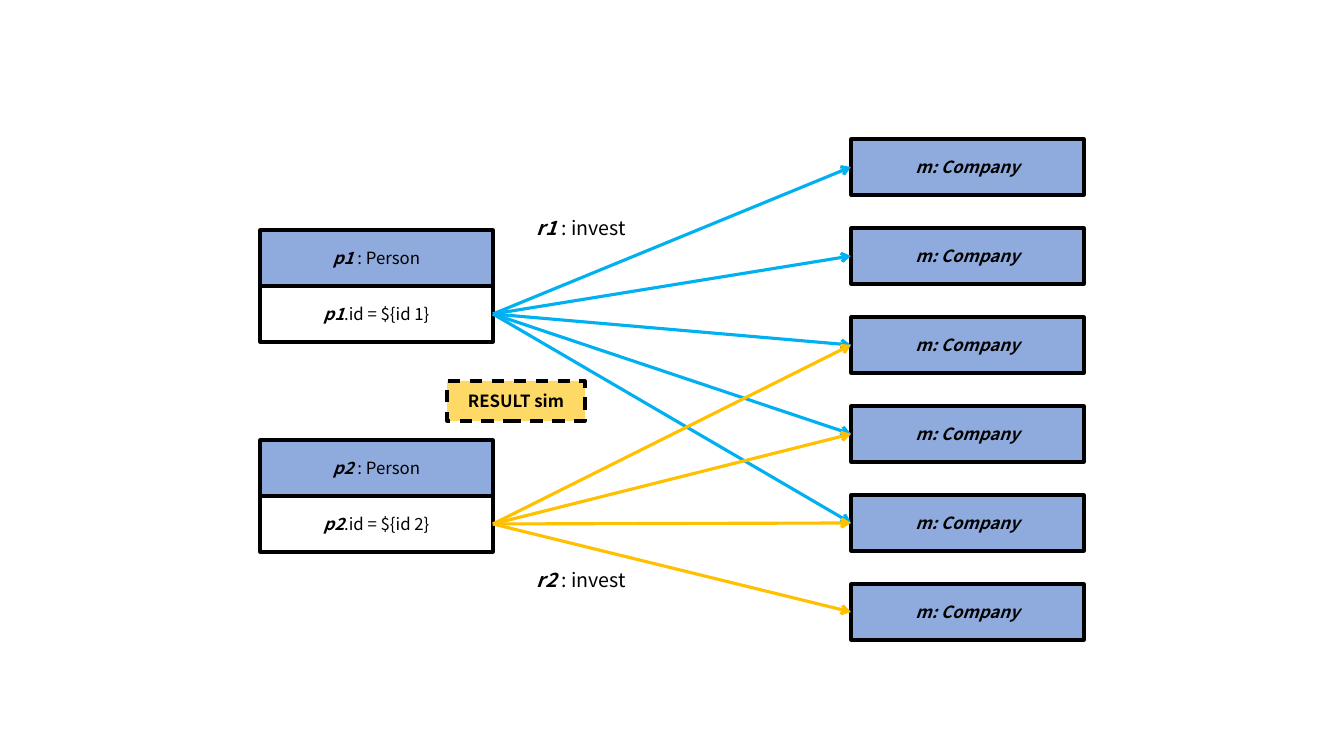
from lxml.etree import SubElement
from pptx import Presentation
from pptx.dml.color import RGBColor
from pptx.enum.dml import MSO_LINE
from pptx.enum.shapes import MSO_CONNECTOR, MSO_SHAPE
from pptx.enum.text import MSO_ANCHOR, MSO_AUTO_SIZE, PP_ALIGN
from pptx.oxml.ns import qn
from pptx.util import Pt

EMU_PER_PIXEL = 914400 / 100.8
FONT = "Noto Sans CJK SC"
BLACK = RGBColor(0x00, 0x00, 0x00)
NODE_BLUE = RGBColor(0x8F, 0xAA, 0xDC)
RESULT_YELLOW = RGBColor(0xFF, 0xD9, 0x66)
ARROW_BLUE = RGBColor(0x00, 0xB0, 0xF0)
ARROW_GOLD = RGBColor(0xFF, 0xC0, 0x00)

LINE_WIDTH = Pt(2.25)
NODE_WIDTH, NODE_HEIGHT = 233, 56
PERSON_LEFT = 260
COMPANY_LEFT, COMPANY_TOP, COMPANY_PITCH = 851, 139, 89
COMPANY_COUNT = 6
LEFT_SITE, RIGHT_SITE = 1, 3

# number, box top, label top, arrow colour, companies invested in
PERSONS = [
    (1, 230, 211, ARROW_BLUE, range(0, 5)),
    (2, 440, 563, ARROW_GOLD, range(2, 6)),
]


def pixels(*values):
    """Turn pixel lengths into EMU."""
    return [round(value * EMU_PER_PIXEL) for value in values]


def write_text(shape, strong, plain="", size=12, italic=True,
               anchor=MSO_ANCHOR.MIDDLE):
    """Write one centred line: a bold part, then an optional regular part."""
    frame = shape.text_frame
    frame.word_wrap = True
    frame.vertical_anchor = anchor
    paragraph = frame.paragraphs[0]
    paragraph.alignment = PP_ALIGN.CENTER
    for text, bold, slanted in ((strong, True, italic), (plain, False, False)):
        if text:
            run = paragraph.add_run()
            run.text = text
            font = run.font
            font.name, font.size = FONT, Pt(size)
            font.bold, font.italic = bold, slanted
            font.color.rgb = BLACK


def add_box(slide, left, top, width=NODE_WIDTH, height=NODE_HEIGHT,
            fill=None, dash=None):
    """Add a black-edged rectangle, unfilled unless a colour is given."""
    box = slide.shapes.add_shape(
        MSO_SHAPE.RECTANGLE, *pixels(left, top, width, height))
    box.shadow.inherit = False
    if fill is None:
        box.fill.background()
    else:
        box.fill.solid()
        box.fill.fore_color.rgb = fill
    box.line.color.rgb = BLACK
    box.line.width = LINE_WIDTH
    if dash is not None:
        box.line.dash_style = dash
    return box


def add_arrow(slide, source, target, color):
    """Connect the right side of source to the left side of target."""
    arrow = slide.shapes.add_connector(MSO_CONNECTOR.STRAIGHT, 0, 0, 0, 0)
    arrow.begin_connect(source, RIGHT_SITE)
    arrow.end_connect(target, LEFT_SITE)
    arrow.line.color.rgb = color
    arrow.line.width = LINE_WIDTH
    properties = arrow._element.spPr
    SubElement(properties.find(qn("a:ln")), qn("a:tailEnd"), type="arrow")
    SubElement(properties, qn("a:effectLst"))


def add_person(slide, number, top):
    """Add a person's name and id boxes and return the id box."""
    name_box = add_box(slide, PERSON_LEFT, top, fill=NODE_BLUE)
    write_text(name_box, f"p{number} ", ": Person")
    id_box = add_box(slide, PERSON_LEFT, top + NODE_HEIGHT)
    write_text(id_box, f"p{number}", f".id = ${{id {number}}}")
    return id_box


def add_company(slide, index):
    """Add the company box at the given place in the column."""
    box = add_box(slide, COMPANY_LEFT, COMPANY_TOP + index * COMPANY_PITCH,
                  fill=NODE_BLUE)
    write_text(box, "m: Company")
    return box


def add_relation_label(slide, number, top):
    """Add the label that names a person's relation."""
    label = slide.shapes.add_textbox(*pixels(513, top, 137, 34))
    write_text(label, f"r{number} ", ": invest", size=14,
               anchor=MSO_ANCHOR.TOP)
    label.text_frame.auto_size = MSO_AUTO_SIZE.SHAPE_TO_FIT_TEXT


def main():
    """Build the investment graph slide."""
    presentation = Presentation()
    presentation.slide_width, presentation.slide_height = pixels(1344, 756)
    slide = presentation.slides.add_slide(presentation.slide_layouts[6])

    companies = [add_company(slide, index) for index in range(COMPANY_COUNT)]
    for number, top, label_top, color, investments in PERSONS:
        id_box = add_person(slide, number, top)
        for index in investments:
            add_arrow(slide, id_box, companies[index], color)
        add_relation_label(slide, number, label_top)

    result = add_box(slide, 447, 381, 138, 40, fill=RESULT_YELLOW,
                     dash=MSO_LINE.DASH)
    write_text(result, "RESULT sim", italic=False)
    presentation.save("out.pptx")


main()
